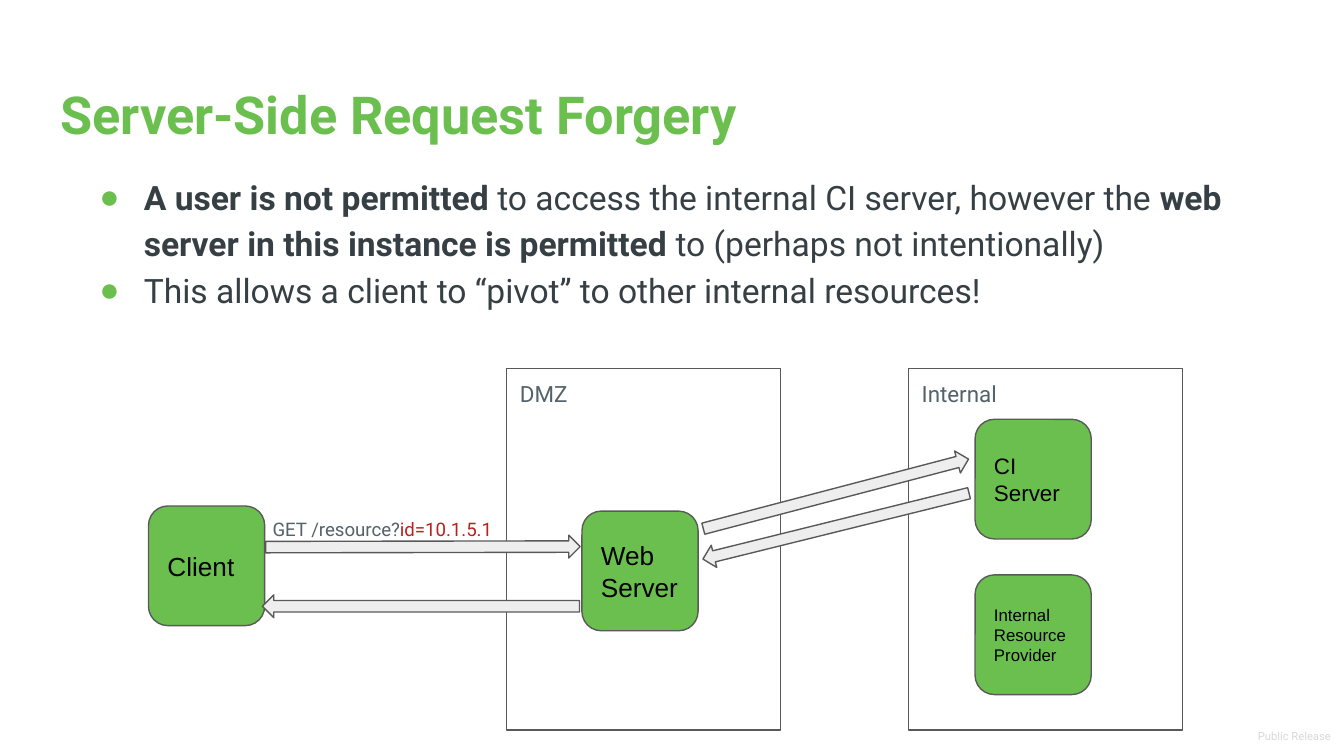
from dataclasses import dataclass

import pptx
import pptx.dml.color
import pptx.enum.shapes
import pptx.enum.text
import pptx.oxml
import pptx.oxml.ns
import pptx.util

SHAPES = pptx.enum.shapes.MSO_SHAPE
ANCHOR = pptx.enum.text.MSO_ANCHOR
ALIGN = pptx.enum.text.PP_ALIGN

COLUMNS, ROWS = 100, 56.25
CELL = pptx.util.Inches(0.1)


@dataclass(frozen=True)
class Theme:
    green: str = "6BBF4E"
    body: str = "363F44"
    label: str = "54626A"
    attack: str = "BA2121"
    outline: str = "595959"
    arrow: str = "EEEEEE"
    footer: str = "D9D9D9"
    node_text: str = "000000"
    font: str = "Roboto"
    node_font: str = "Arial"
    bullet_font: str = "Arial"
    title_size: int = 28
    body_size: int = 18
    zone_size: int = 12
    request_size: int = 10
    footer_size: int = 6
    line_width: float = 0.75


THEME = Theme()


@dataclass(frozen=True)
class Area:
    column: float
    row: float
    columns: float
    rows: float

    def lengths(self) -> list[int]:
        return [round(cells * CELL) for cells in (self.column, self.row, self.columns, self.rows)]


@dataclass(frozen=True)
class Span:
    text: str
    color: str
    bold: bool = False


@dataclass(frozen=True)
class Zone:
    name: str
    column: float


@dataclass(frozen=True)
class Node:
    name: str
    column: float
    row: float
    size: int


@dataclass(frozen=True)
class Arrow:
    column: float
    row: float
    columns: float
    rotation: float


ZONES = [Zone("DMZ", 37.7), Zone("Internal", 67.6)]
NODES = [
    Node("Client", 11.05, 37.65, 14),
    Node("Web Server", 43.3, 38.03, 14),
    Node("CI Server", 72.55, 31.2, 12),
    Node("Internal Resource Provider", 72.55, 42.78, 9),
]
ARROWS = [
    Arrow(19.77, 39.84, 23.4, 359.9),
    Arrow(19.52, 44.26, 23.6, 180),
    Arrow(52, 35.9, 20.4, 345.3),
    Arrow(52, 38.3, 20.4, 166.1),
]
BULLETS = [
    [
        Span("A user is not permitted", THEME.body, True),
        Span(" to access the internal CI server, however the ", THEME.body),
        Span("web server in this instance is permitted", THEME.body, True),
        Span(" to (perhaps not intentionally)", THEME.body),
    ],
    [Span("This allows a client to “pivot” to other internal resources!", THEME.body)],
]
REQUEST = [Span("GET /resource?", THEME.label), Span("id=10.1.5.1", THEME.attack)]


def rgb(color: str) -> pptx.dml.color.RGBColor:
    return pptx.dml.color.RGBColor.from_string(color)


def set_frame(shape, anchor=ANCHOR.TOP, top: float = 1):
    frame = shape.text_frame
    frame.word_wrap = True
    frame.auto_size = pptx.enum.text.MSO_AUTO_SIZE.NONE
    frame.vertical_anchor = anchor
    frame.margin_left = frame.margin_right = frame.margin_bottom = CELL
    frame.margin_top = round(top * CELL)
    return frame


def write(para, spans: list[Span], size: int, font: str = THEME.font, align=ALIGN.LEFT) -> None:
    para.alignment = align
    for span in spans:
        run = para.add_run()
        run.text = span.text
        run.font.name = font
        run.font.size = pptx.util.Pt(size)
        run.font.bold = span.bold
        run.font.color.rgb = rgb(span.color)


def add_bullet(para) -> None:
    para.line_spacing = 1.15
    para.space_before = pptx.util.Pt(0)
    properties = para._p.get_or_add_pPr()
    properties.set("marL", str(pptx.util.Inches(0.5)))
    properties.set("indent", str(pptx.util.Inches(-0.33)))
    namespace = pptx.oxml.ns.nsdecls("a")
    for element in (
        f'<a:buClr {namespace}><a:srgbClr val="{THEME.green}"/></a:buClr>',
        f'<a:buFont {namespace} typeface="{THEME.bullet_font}"/>',
        f'<a:buChar {namespace} char="●"/>',
    ):
        properties.append(pptx.oxml.parse_xml(element))


def place(shape, area: Area) -> None:
    shape.left, shape.top, shape.width, shape.height = area.lengths()


def add_text(slide, area: Area, spans: list[Span], size: int, align=ALIGN.LEFT, anchor=ANCHOR.TOP) -> None:
    box = slide.shapes.add_textbox(*area.lengths())
    write(set_frame(box, anchor).paragraphs[0], spans, size, align=align)


def add_outlined(slide, kind, area: Area, fill: str = ""):
    shape = slide.shapes.add_shape(kind, *area.lengths())
    shape.shadow.inherit = False
    if fill:
        shape.fill.solid()
        shape.fill.fore_color.rgb = rgb(fill)
    else:
        shape.fill.background()
    shape.line.color.rgb = rgb(THEME.outline)
    shape.line.width = pptx.util.Pt(THEME.line_width)
    return shape


def add_zone(slide, zone: Zone) -> None:
    shape = add_outlined(slide, SHAPES.RECTANGLE, Area(zone.column, 27.42, 20.4, 26.9))
    write(set_frame(shape, top=0.85).paragraphs[0], [Span(zone.name, THEME.label)], THEME.zone_size)


def add_node(slide, node: Node) -> None:
    area = Area(node.column, node.row, 8.64, 8.9)
    shape = add_outlined(slide, SHAPES.ROUNDED_RECTANGLE, area, THEME.green)
    para = set_frame(shape, ANCHOR.MIDDLE).paragraphs[0]
    write(para, [Span(node.name, THEME.node_text)], node.size, THEME.node_font)


def add_arrow(slide, arrow: Arrow) -> None:
    area = Area(arrow.column, arrow.row, arrow.columns, 1.7)
    add_outlined(slide, SHAPES.RIGHT_ARROW, area, THEME.arrow).rotation = arrow.rotation


def main() -> None:
    deck = pptx.Presentation()
    deck.slide_width, deck.slide_height = round(COLUMNS * CELL), round(ROWS * CELL)
    slide = deck.slides.add_slide(deck.slide_layouts[1])

    title, body = slide.shapes.title, slide.placeholders[1]
    place(title, Area(3.5, 5.1, 88.4, 8))
    heading = Span("Server-Side Request Forgery", THEME.green, True)
    write(set_frame(title).paragraphs[0], [heading], THEME.title_size)

    place(body, Area(4.7, 11.7, 90.6, 7.3))
    frame = set_frame(body)
    for index, spans in enumerate(BULLETS):
        para = frame.add_paragraph() if index else frame.paragraphs[0]
        add_bullet(para)
        write(para, spans, THEME.body_size)

    for zone in ZONES:
        add_zone(slide, zone)
    for node in NODES:
        add_node(slide, node)
    for arrow in ARROWS:
        add_arrow(slide, arrow)
    add_text(slide, Area(19.3, 37.54, 36, 4.2), REQUEST, THEME.request_size)
    footer = [Span("Public Release", THEME.footer)]
    add_text(slide, Area(67.2, 53.4, 32.8, 2.85), footer, THEME.footer_size, ALIGN.RIGHT, ANCHOR.BOTTOM)
    deck.save("out.pptx")


if __name__ == "__main__":
    main()
